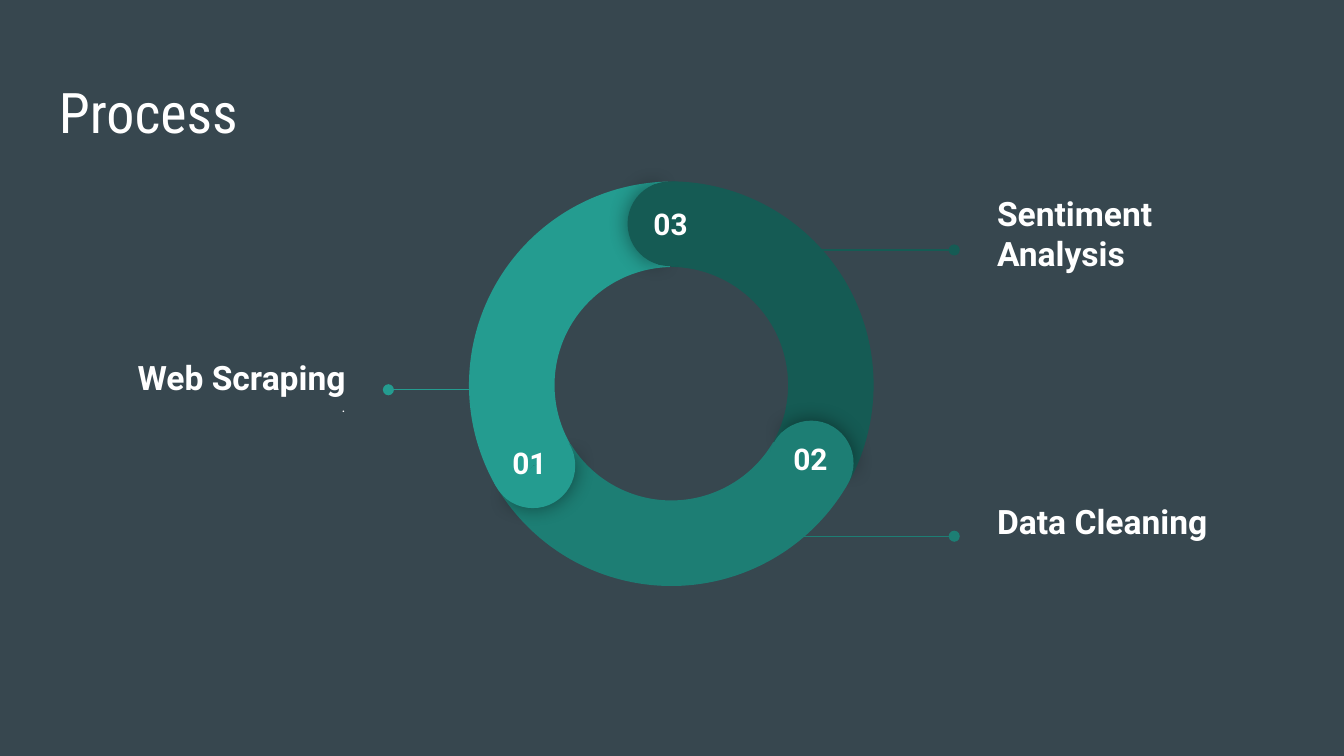
"""Build a process slide with a three-part ring and labelled callouts."""
from lxml.etree import SubElement
from pptx import Presentation
from pptx.dml.color import RGBColor
from pptx.enum.shapes import MSO_CONNECTOR, MSO_SHAPE
from pptx.enum.text import MSO_ANCHOR, PP_ALIGN
from pptx.oxml.ns import qn
from pptx.util import Inches, Pt

WHITE, DARK, MEDIUM, LIGHT = "FFFFFF", "155B54", "1D7E74", "249C90"

presentation = Presentation()
presentation.slide_width = Inches(10)
presentation.slide_height = Inches(10 * 9 / 16)
slide = presentation.slides.add_slide(presentation.slide_layouts[6])
slide.background.fill.solid()
slide.background.fill.fore_color.rgb = RGBColor.from_string("37474F")


def add_text(box, lines, alignment=PP_ALIGN.LEFT, anchor=MSO_ANCHOR.TOP, bottom=0.1):
    shape = slide.shapes.add_textbox(*map(Inches, box))
    frame = shape.text_frame
    frame.word_wrap = True
    frame.vertical_anchor = anchor
    frame.margin_left = frame.margin_right = frame.margin_top = Inches(0.1)
    frame.margin_bottom = Inches(bottom)
    frame.text = "\n".join(line[0] for line in lines)
    for paragraph, (_, size, bold, font_name) in zip(frame.paragraphs, lines):
        paragraph.alignment = alignment
        font = paragraph.runs[0].font
        font.name, font.size, font.bold = font_name, Pt(size), bold
        font.color.rgb = RGBColor.from_string(WHITE)


def add_ring_part(kind, box, rotation, adjustments, color):
    shape = slide.shapes.add_shape(kind, *map(Inches, box))
    shape.rotation = rotation
    for index, value in enumerate(adjustments):
        shape.adjustments[index] = value
    shape.fill.solid()
    shape.fill.fore_color.rgb = RGBColor.from_string(color)
    shape.line.fill.background()
    shape.shadow.inherit = False
    return shape


add_text((0.34, 0.48, 9.32, 0.63), [("Process", 30, False, "Roboto Condensed")])

callouts = [
    (0.35, 2.17, ["Web Scraping", "."], PP_ALIGN.RIGHT, 0.1, 3.58, 2.89, 2.9, LIGHT),
    (7.32, 1.16, ["Sentiment Analysis"], PP_ALIGN.LEFT, 0.36, 5.7, 7.1, 1.86, DARK),
    (7.32, 3.3, ["Data Cleaning"], PP_ALIGN.LEFT, 0.36, 5.7, 7.1, 3.99, MEDIUM),
]
for left, top, texts, alignment, bottom, start, end, height, color in callouts:
    lines = [(text, size, size == 18, "Roboto") for text, size in zip(texts, (18, 8))]
    add_text((left, top, 2.32, 1.41), lines, alignment, MSO_ANCHOR.MIDDLE, bottom)
    connector = slide.shapes.add_connector(
        MSO_CONNECTOR.STRAIGHT, Inches(start), Inches(height), Inches(end), Inches(height))
    connector.line.color.rgb = RGBColor.from_string(color)
    connector.line.width = Pt(0.75)
    SubElement(connector.line._get_or_add_ln(), qn("a:tailEnd"), type="oval")
    SubElement(connector._element.spPr, qn("a:effectLst"))

arcs = [(3.47, 1.35, 60, DARK), (3.48, 1.33, 180, MEDIUM), (3.49, 1.35, 300, LIGHT)]
for left, top, rotation, color in arcs:
    add_ring_part(MSO_SHAPE.BLOCK_ARC, (left, top, 3.03, 3.03), rotation,
                  (126.23, 197.2, 0.21), color)

caps = [
    ("01", 3.65, 3.15, 240, LIGHT, 3.66, 3.21),
    ("03", 4.67, 1.35, 0, DARK, 4.71, 1.43),
    ("02", 5.72, 3.13, 120, MEDIUM, 5.75, 3.18),
]
for number, left, top, rotation, color, text_left, text_top in caps:
    box = (left, top, 0.63, 0.63)
    front = add_ring_part(MSO_SHAPE.PIE, box, rotation + 0.6, (61.9, 149.96), color)
    effects = front._element.spPr.find(qn("a:effectLst"))
    shadow = SubElement(effects, qn("a:outerShdw"), blurRad=str(Pt(11.2)), dist="0",
                        dir="0", algn="ctr", rotWithShape="0")
    shadow_color = SubElement(shadow, qn("a:srgbClr"), val="000000")
    SubElement(shadow_color, qn("a:alpha"), val="43000")
    add_ring_part(MSO_SHAPE.PIE, box, (rotation + 180) % 360, (40.28, 171.84), color)

for number, left, top, rotation, color, text_left, text_top in caps:
    add_text((text_left, text_top, 0.56, 0.29), [(number, 16, True, "Roboto")],
             PP_ALIGN.CENTER)

presentation.save("out.pptx")
